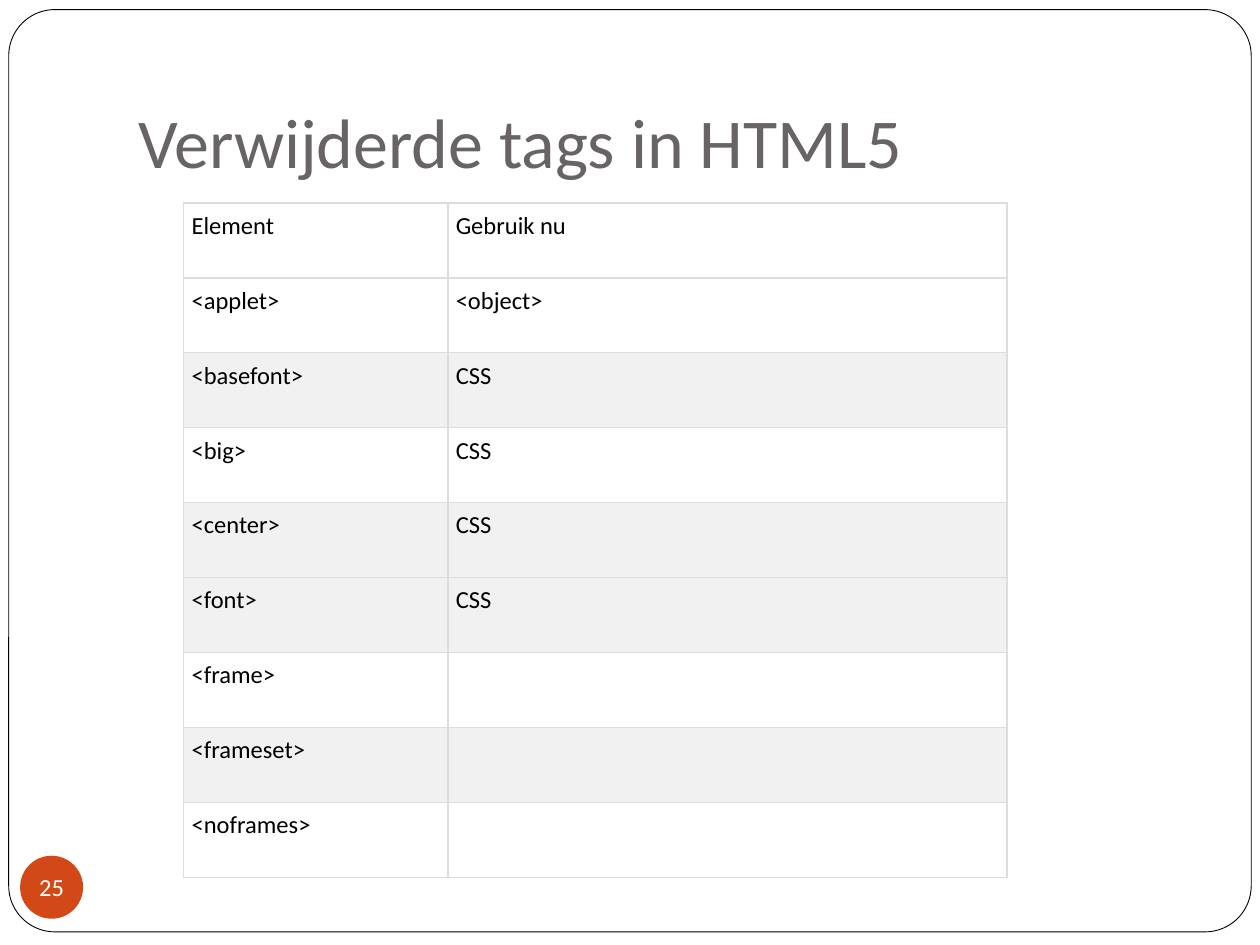
from lxml import etree
from pptx import Presentation, util as u
from pptx.dml.color import RGBColor
from pptx.enum import shapes, text
from pptx.oxml.ns import qn

Pt = u.Pt


def color(value):
    return RGBColor.from_string(value)


def write(frame, content, size, font_color, **format_values):
    for name, value in format_values.items():
        setattr(frame, name, value)
    paragraph = frame.paragraphs[0]
    run = paragraph.add_run()
    run.text = content
    for name, value in {"name": "Calibri", "size": Pt(size)}.items():
        setattr(run.font, name, value)
    run.font.color.rgb = color(font_color)
    return paragraph


presentation = Presentation()
presentation.slide_width, presentation.slide_height = Pt(720), Pt(540)
slide = presentation.slides.add_slide(presentation.slide_layouts[6])

# Rounded frame around the slide
frame = slide.shapes.add_shape(
    shapes.MSO_SHAPE.ROUNDED_RECTANGLE, Pt(5), Pt(5.5), Pt(710), Pt(527))
frame.adjustments[0] = 0.05
frame.shadow.inherit = False
frame.fill.solid()
frame.fill.fore_color.rgb = color("FFFFFF")
frame.line.color.rgb = color("000000")
frame.line.width = Pt(0.5)

# Title
title = slide.shapes.add_textbox(Pt(72), Pt(21.6), Pt(612), Pt(90))
write(title.text_frame, "Verwijderde tags in HTML5", 40, "696464",
      word_wrap=True, vertical_anchor=text.MSO_ANCHOR.BOTTOM,
      margin_left=Pt(7.2), margin_right=Pt(7.2),
      margin_top=Pt(3.6), margin_bottom=Pt(7.2))

# Slide number badge
badge = slide.shapes.add_shape(
    shapes.MSO_SHAPE.OVAL, Pt(11.5), Pt(489), Pt(36), Pt(36))
badge.shadow.inherit = False
badge.fill.solid()
badge.fill.fore_color.rgb = color("D34817")
badge.line.fill.background()
number = write(badge.text_frame, "25", 14, "FFFFFF",
               word_wrap=False, vertical_anchor=text.MSO_ANCHOR.MIDDLE,
               margin_left=0, margin_right=0, margin_top=0, margin_bottom=0)
number.alignment = text.PP_ALIGN.CENTER

# Table of removed tags: element, replacement, row fill
WHITE, GRAY = "FFFFFF", "F1F1F1"
rows = [
    ("Element", "Gebruik nu", WHITE),
    ("<applet>", "<object>", WHITE),
    ("<basefont>", "CSS", GRAY),
    ("<big>", "CSS", WHITE),
    ("<center>", "CSS", GRAY),
    ("<font>", "CSS", GRAY),
    ("<frame>", "", WHITE),
    ("<frameset>", "", GRAY),
    ("<noframes>", "", WHITE),
]
column_widths = [151, 319.5]
row_height = 42.84
table = slide.shapes.add_table(
    len(rows), len(column_widths), Pt(105), Pt(116),
    Pt(sum(column_widths)), Pt(row_height * len(rows))).table
for column, width in zip(table.columns, column_widths):
    column.width = Pt(width)

for row_index, (element, replacement, row_fill) in enumerate(rows):
    table.rows[row_index].height = Pt(row_height)
    for column_index, content in enumerate((element, replacement)):
        cell = table.cell(row_index, column_index)
        for side in ("left", "right", "top", "bottom"):
            setattr(cell, f"margin_{side}", Pt(4.5))
        if content:
            write(cell.text_frame, content, 14, "000000")

        # Borders come before the fill in the cell properties
        properties = cell._tc.get_or_add_tcPr()
        for tag in ("a:lnL", "a:lnR", "a:lnT", "a:lnB"):
            border = etree.SubElement(properties, qn(tag), w=str(Pt(0.75)))
            border_fill = etree.SubElement(border, qn("a:solidFill"))
            etree.SubElement(border_fill, qn("a:srgbClr"), val="DDDDDD")
        cell.fill.solid()
        cell.fill.fore_color.rgb = color(row_fill)

presentation.save("out.pptx")
